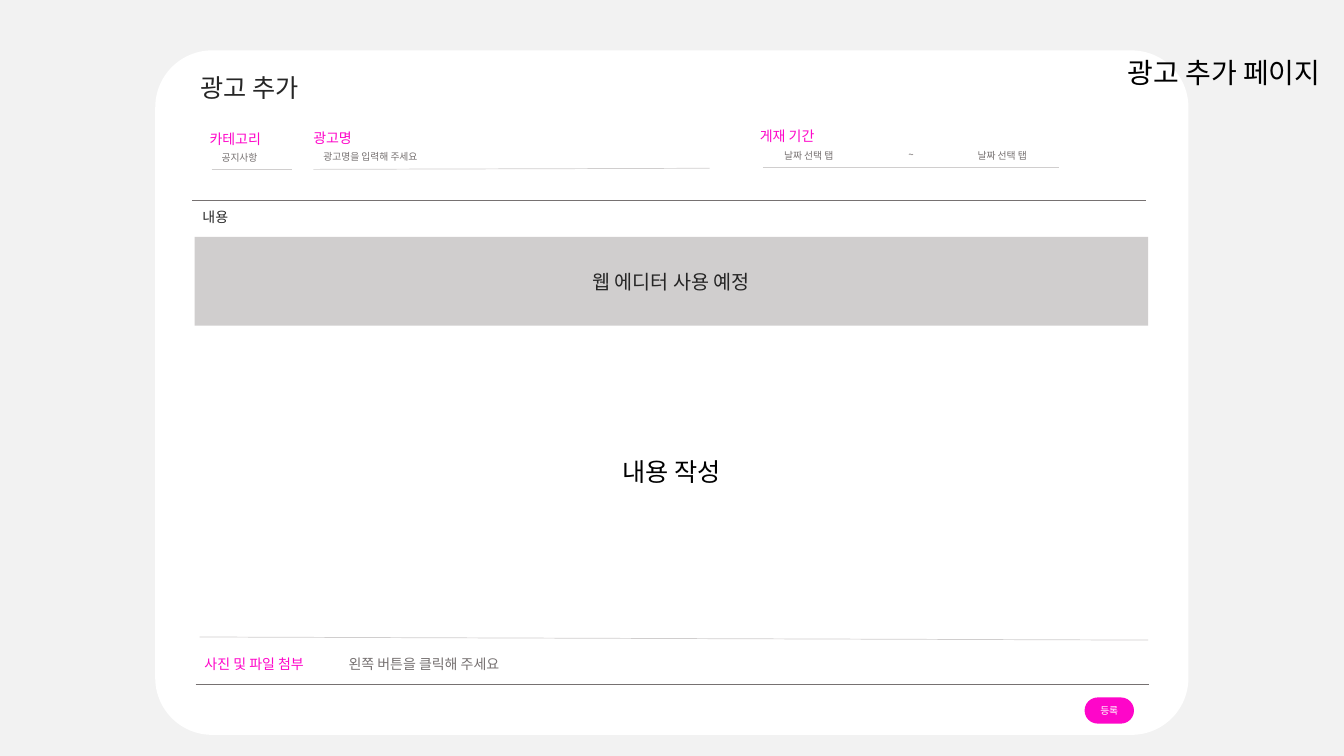
from lxml.etree import SubElement
from pptx import Presentation
from pptx.dml.color import RGBColor
from pptx.enum.shapes import MSO_CONNECTOR, MSO_SHAPE
from pptx.enum.text import MSO_ANCHOR, MSO_AUTO_SIZE, PP_ALIGN
from pptx.oxml.ns import qn
from pptx.util import Pt

FONT = "Noto Sans CJK KR"
PINK = RGBColor(0xFE, 0x06, 0xC9)
WHITE = RGBColor(0xFF, 0xFF, 0xFF)
BLACK = RGBColor(0x00, 0x00, 0x00)
DARK = RGBColor(0x26, 0x26, 0x26)
GRAY = RGBColor(0x76, 0x71, 0x71)
SILVER = RGBColor(0xD0, 0xCE, 0xCE)
BACKGROUND = RGBColor(0xF2, 0xF2, 0xF2)
LEFT, CENTER = PP_ALIGN.LEFT, PP_ALIGN.CENTER
TOP, MIDDLE = MSO_ANCHOR.TOP, MSO_ANCHOR.MIDDLE
LINE_HEIGHT = {7: 15.8, 10: 19.4, 18: 28.8}


def write(shape, text, size, color, align=LEFT, anchor=TOP):
    frame = shape.text_frame
    frame.auto_size = MSO_AUTO_SIZE.NONE
    frame.word_wrap = True
    frame.vertical_anchor = anchor
    para = frame.paragraphs[0]
    para.alignment = align
    span = para.add_run()
    span.text = text
    span.font.size = Pt(size)
    span.font.color.rgb = color
    span.font.name = FONT
    # Korean glyphs take the East Asian typeface
    SubElement(span.font._element, qn("a:ea")).set("typeface", FONT)


def add_block(left, top, width, height, rounding, fill):
    block = page.shapes.add_shape(MSO_SHAPE.ROUNDED_RECTANGLE,
                                  Pt(left), Pt(top), Pt(width), Pt(height))
    block.adjustments[0] = rounding
    block.shadow.inherit = False
    block.fill.solid()
    block.fill.fore_color.rgb = fill
    block.line.fill.background()
    return block


deck = Presentation()
deck.slide_width, deck.slide_height = Pt(960), Pt(540)
page = deck.slides.add_slide(deck.slide_layouts[5])
page.background.fill.solid()
page.background.fill.fore_color.rgb = BACKGROUND

# Panel, with the page title in front of it
panel = add_block(110.9, 36, 738, 488.9, 0.083, WHITE)
title = page.shapes.title
title.left, title.top, title.width, title.height = Pt(789.1), Pt(36), Pt(170.6), Pt(31.7)
write(title, "광고 추가 페이지", 20, BLACK, CENTER)
panel.element.addnext(title.element)

# Editor bar and submit button
editor = add_block(139, 169.2, 681.1, 63.4, 0, SILVER)
write(editor, "웹 에디터 사용 예정", 14, DARK, CENTER, MIDDLE)
submit = add_block(774.7, 498.2, 35.3, 18.7, 0.5, PINK)
submit_frame = submit.text_frame
submit_frame.margin_left = submit_frame.margin_right = 0
write(submit, "등록", 7, WHITE, CENTER, MIDDLE)

# Rules: x1, y1, x2, y2, color
rules = [
    (137.5, 143.3, 818.6, 143.3, GRAY),
    (139.7, 488.9, 820.8, 488.9, GRAY),
    (142.6, 455, 820.1, 457.2, SILVER),
    (151.2, 121, 208.8, 121, SILVER),
    (223.9, 121, 506.9, 120.2, SILVER),
    (545, 119.5, 756.7, 119.5, SILVER),
]
for x1, y1, x2, y2, color in rules:
    rule = page.shapes.add_connector(MSO_CONNECTOR.STRAIGHT,
                                     Pt(x1), Pt(y1), Pt(x2), Pt(y2))
    rule.line.width = Pt(0.5)
    rule.line.color.rgb = color
    SubElement(rule.element.spPr, qn("a:effectLst"))

# Labels: text, left, top, width, size, color, alignment
labels = [
    ("광고 추가", 136.1, 48.2, 131.8, 18, DARK, LEFT),
    ("카테고리", 142.6, 90, 59, 10, PINK, LEFT),
    ("공지사항", 151.2, 105.1, 71.3, 7, GRAY, LEFT),
    ("광고명", 216.7, 89.3, 46.8, 10, PINK, LEFT),
    ("광고명을 입력해 주세요", 223.9, 104.4, 128.2, 7, GRAY, LEFT),
    ("게재 기간", 535.7, 87.8, 59, 10, PINK, LEFT),
    ("날짜 선택 탭", 553, 103.7, 56.9, 7, GRAY, LEFT),
    ("~", 641.5, 103, 18.7, 7, GRAY, CENTER),
    ("날짜 선택 탭", 691.2, 103.7, 56.9, 7, GRAY, LEFT),
    ("내용", 137.5, 145.4, 59, 10, DARK, LEFT),
    ("내용 작성", 296.6, 322.6, 366.5, 18, BLACK, CENTER),
    ("사진 및 파일 첨부", 139, 464.4, 100, 10, PINK, LEFT),
    ("왼쪽 버튼을 클릭해 주세요", 241.9, 464.4, 140, 10, GRAY, LEFT),
]
for text, left, top, width, size, color, align in labels:
    box = page.shapes.add_textbox(Pt(left), Pt(top), Pt(width), Pt(LINE_HEIGHT[size]))
    write(box, text, size, color, align)

deck.save("out.pptx")
